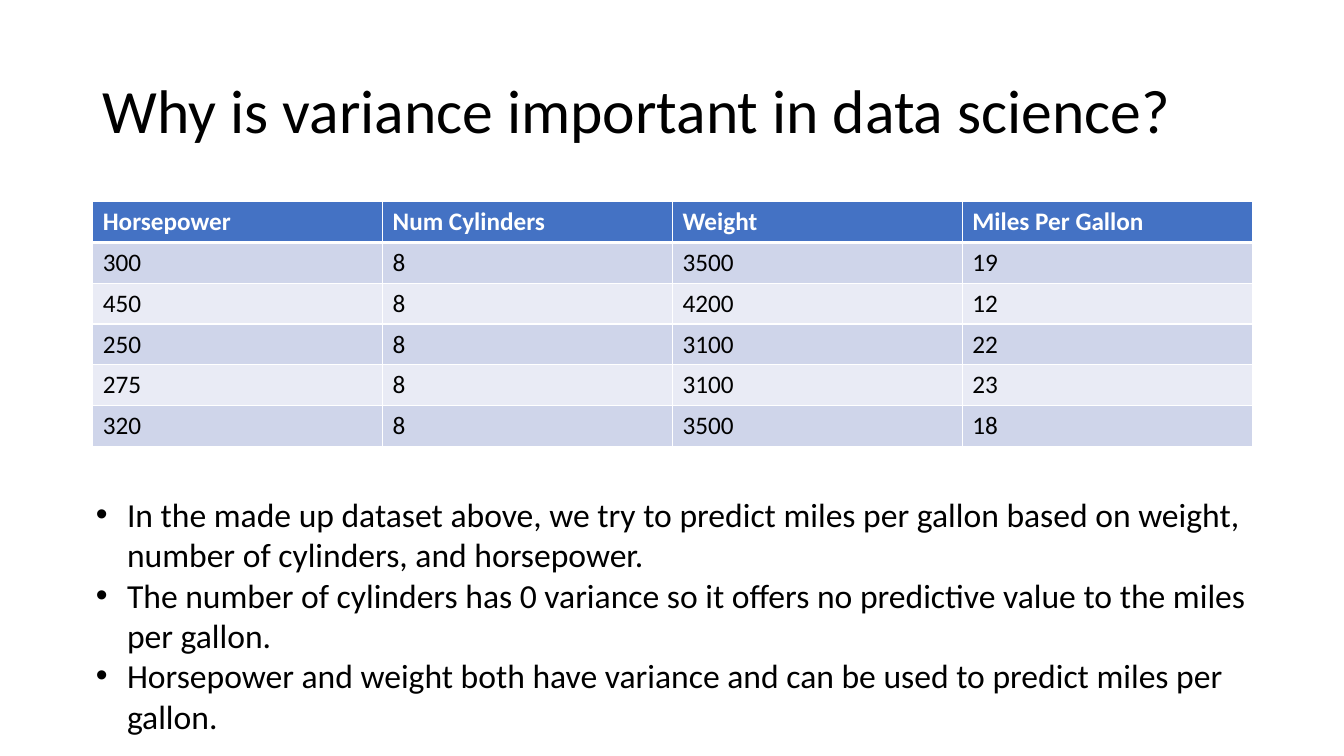
import pptx
import pptx.dml.color
import pptx.enum.text
import pptx.oxml.ns
import pptx.util
from lxml import etree
from pptx.util import Inches

FONT = "Calibri"
BLACK, WHITE = "000000", "FFFFFF"
HEADER_FILL = "4472C4"
BAND_FILLS = ["CFD5EA", "E9EBF5"]

TITLE = "Why is variance important in data science?"
CAR_ROWS = [
    ["Horsepower", "Num Cylinders", "Weight", "Miles Per Gallon"],
    ["300", "8", "3500", "19"],
    ["450", "8", "4200", "12"],
    ["250", "8", "3100", "22"],
    ["275", "8", "3100", "23"],
    ["320", "8", "3500", "18"],
]
POINTS = [
    "In the made up dataset above, we try to predict miles per gallon based on "
    "weight, number of cylinders, and horsepower.",
    "The number of cylinders has 0 variance so it offers no predictive value to "
    "the miles per gallon.",
    "Horsepower and weight both have variance and can be used to predict miles "
    "per gallon.",
]


def rgb(color):
    return pptx.dml.color.RGBColor.from_string(color)


def add_element(parent, tag, **attrs):
    return etree.SubElement(parent, pptx.oxml.ns.qn(tag), attrs)


def add_run(p, text, size, color=BLACK, bold=False):
    r = p.add_run()
    r.text = text
    r.font.name = FONT
    r.font.size = pptx.util.Pt(size)
    r.font.bold = bold
    r.font.color.rgb = rgb(color)


def place(s, left, top, width, height):
    s.left, s.top = Inches(left), Inches(top)
    s.width, s.height = Inches(width), Inches(height)


def fill_title(s, text):
    place(s, 0.92, 0.4, 11.5, 1.45)
    tf = s.text_frame
    tf.auto_size = pptx.enum.text.MSO_AUTO_SIZE.NONE
    tf.vertical_anchor = pptx.enum.text.MSO_ANCHOR.MIDDLE
    p = tf.paragraphs[0]
    p.alignment = pptx.enum.text.PP_ALIGN.LEFT
    p.line_spacing = 0.9
    add_run(p, text, 44)


def set_borders(cell, bottom):
    """Draw white cell borders, 1 pt except for the bottom one."""
    tcPr = cell._tc.get_or_add_tcPr()
    for side, width in [("L", 1), ("R", 1), ("T", 1), ("B", bottom)]:
        ln = add_element(tcPr, f"a:ln{side}", w=str(pptx.util.Pt(width)))
        add_element(add_element(ln, "a:solidFill"), "a:srgbClr", val=WHITE)


def add_car_table(slide, rows):
    frame = slide.shapes.add_table(
        len(rows), len(rows[0]),
        Inches(0.92), Inches(2), Inches(11.5), Inches(2.43))
    for i, row in enumerate(rows):
        header = i == 0
        for j, text in enumerate(row):
            cell = frame.table.cell(i, j)
            set_borders(cell, 3 if header else 1)
            cell.fill.solid()
            cell.fill.fore_color.rgb = rgb(
                HEADER_FILL if header else BAND_FILLS[(i - 1) % 2])
            add_run(cell.text_frame.paragraphs[0], text, 18,
                    WHITE if header else BLACK, header)


def set_bullet(p, indent):
    pPr = p._p.get_or_add_pPr()
    pPr.set("marL", str(Inches(indent)))
    pPr.set("indent", str(-Inches(indent)))
    add_element(pPr, "a:buFont", typeface="Arial")
    add_element(pPr, "a:buChar", char="•")


def fill_points(s, points):
    place(s, 0.85, 4.85, 11.63, 2.52)
    tf = s.text_frame
    tf.auto_size = pptx.enum.text.MSO_AUTO_SIZE.SHAPE_TO_FIT_TEXT
    for i, text in enumerate(points):
        p = tf.add_paragraph() if i else tf.paragraphs[0]
        set_bullet(p, 0.31)
        p.space_before = pptx.util.Pt(0)
        p.line_spacing = 1.0
        add_run(p, text, 24)


def main():
    prs = pptx.Presentation()
    prs.slide_width, prs.slide_height = Inches(13.33), Inches(7.5)
    slide = prs.slides.add_slide(prs.slide_layouts[1])
    fill_title(slide.shapes.title, TITLE)
    add_car_table(slide, CAR_ROWS)
    fill_points(slide.placeholders[1], POINTS)
    prs.save("out.pptx")


if __name__ == "__main__":
    main()
